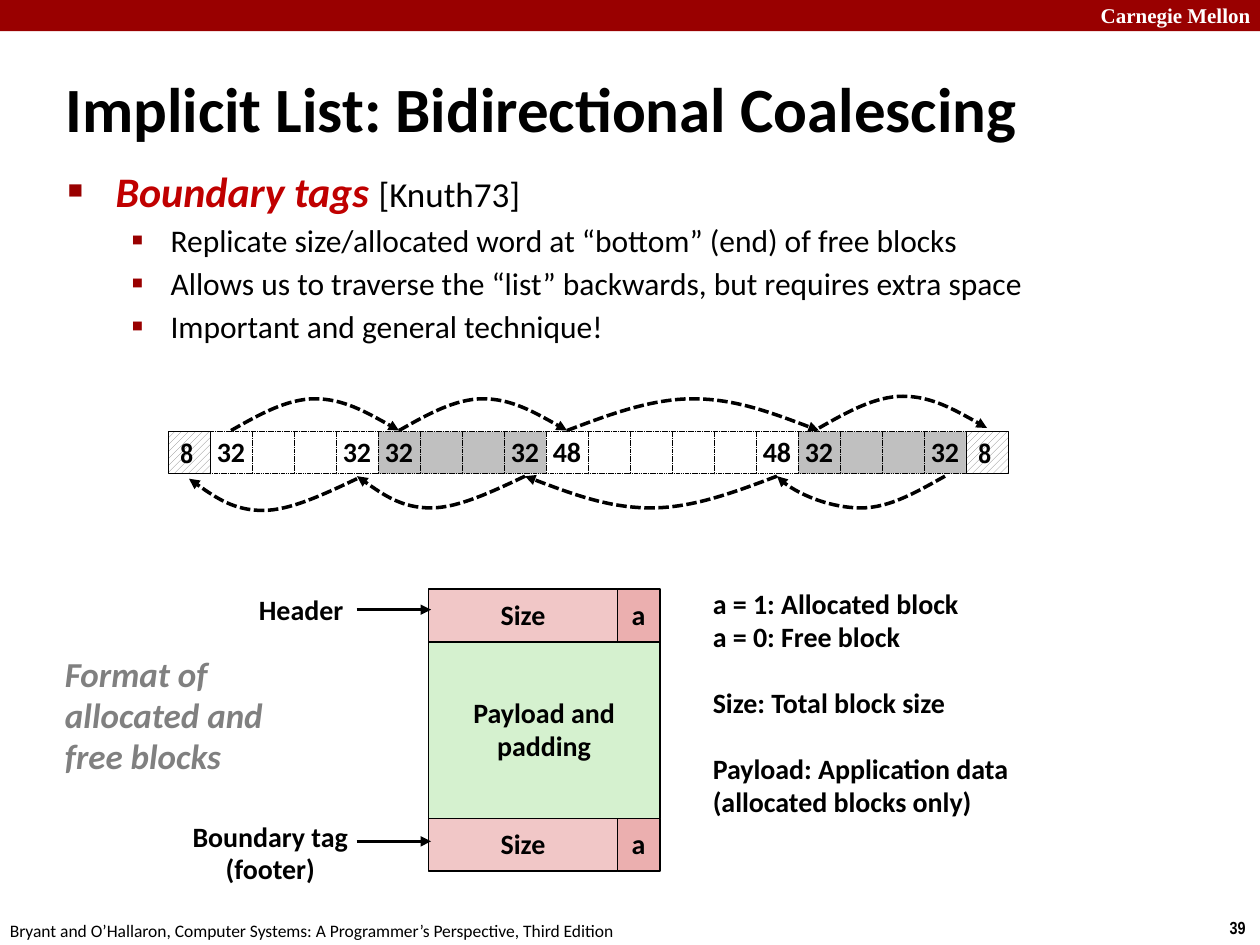
import pptx
import pptx.dml.color
import pptx.enum.dml
import pptx.enum.shapes
import pptx.enum.text
import pptx.oxml
import pptx.oxml.ns
import pptx.util

Cm, Pt = pptx.util.Cm, pptx.util.Pt
RECT = pptx.enum.shapes.MSO_SHAPE.RECTANGLE
ALIGN = pptx.enum.text.PP_ALIGN
ANCHOR = pptx.enum.text.MSO_ANCHOR
DASH = pptx.enum.dml.MSO_LINE.SQUARE_DOT
BLACK, WHITE, RED, GREY = "000000", "FFFFFF", "990000", "C0C0C0"
PINK, ROSE, GREEN = "F1C7C7", "EBAFAF", "D5F1CF"

# Content
title = "Implicit List: Bidirectional Coalescing"
topic, citation = "Boundary tags ", "[Knuth73]"
points = [
    "Replicate size/allocated word at “bottom” (end) of free blocks",
    "Allows us to traverse the “list” backwards, but requires extra space",
    "Important and general technique!",
]
blocks = [("32", 4, WHITE), ("32", 4, GREY), ("48", 6, WHITE), ("32", 4, GREY)]
sentinel = "8"
format_caption = ["Format of", "allocated and", "free blocks"]
legend = ["a = 1: Allocated block", "a = 0: Free block", "Size: Total block size",
          "Payload: Application data", "(allocated blocks only)"]
legend_gaps = {2: 19, 3: 19}
footer = "Bryant and O’Hallaron, Computer Systems: A Programmer’s Perspective, Third Edition"

deck = pptx.Presentation()
deck.slide_width, deck.slide_height = Cm(25.4), Cm(19.05)
slide = deck.slides.add_slide(deck.slide_layouts[6])
shapes = slide.shapes


def rgb(value):
    return pptx.dml.color.RGBColor.from_string(value)


def element(tag, **attributes):
    node = pptx.oxml.parse_xml(f"<a:{tag} {pptx.oxml.ns.nsdecls('a')}/>")
    for key, value in attributes.items():
        node.set(key, str(value))
    return node


def add_run(paragraph, text, size=16, font="Calibri", color=BLACK, bold=True, italic=False):
    run = paragraph.add_run()
    run.text = text
    run.font.size, run.font.name = Pt(size), font
    run.font.bold, run.font.italic = bold, italic
    run.font.color.rgb = rgb(color)


def write(shape, lines, align=ALIGN.LEFT, anchor=ANCHOR.TOP, wrap=False, spacing=1.0,
          gaps=None, **run_format):
    frame = shape.text_frame
    frame.word_wrap, frame.vertical_anchor = wrap, anchor
    for index, line in enumerate(lines):
        paragraph = frame.add_paragraph() if index else frame.paragraphs[0]
        paragraph.alignment, paragraph.line_spacing = align, spacing
        if gaps and index in gaps:
            paragraph.space_before = Pt(gaps[index])
        add_run(paragraph, line, **run_format)
    return frame


def label(left, top, width, height, lines, **text_format):
    box = shapes.add_textbox(Cm(left), Cm(top), Cm(width), Cm(height))
    return write(box, lines, **text_format)


def rectangle(left, top, width, height, fill=None, line_width=1.0, dash=None):
    shape = shapes.add_shape(RECT, Cm(left), Cm(top), Cm(width), Cm(height))
    shape.shadow.inherit = False
    if fill:
        shape.fill.solid()
        shape.fill.fore_color.rgb = rgb(fill)
    else:
        shape.fill.patterned()
        shape.fill.pattern = pptx.enum.dml.MSO_PATTERN.WIDE_UPWARD_DIAGONAL
        shape.fill.fore_color.rgb, shape.fill.back_color.rgb = rgb("808080"), rgb(WHITE)
    if line_width:
        shape.line.color.rgb, shape.line.width = rgb(BLACK), Pt(line_width)
        shape.line.dash_style = dash
    else:
        shape.line.fill.background()
    return shape


def add_arrowhead(line):
    line.color.rgb, line.width = rgb(BLACK), Pt(2)
    line._get_or_add_ln().append(element("tailEnd", type="triangle"))


def arc(start, end, base, rise, fractions):
    """Dashed arrow along two joined Bezier curves, rising by a signed height."""
    heights = [0, 0.5, 1, 1, 1, 0.5, 0]
    controls = [(Cm(start + (end - start) * f), Cm(base + rise * h))
                for f, h in zip(fractions, heights)]
    builder = shapes.build_freeform(*controls[0])
    builder.add_line_segments(controls[1:], close=False)
    shape = builder.convert_to_shape()
    # Turn each three straight segments into one cubic curve
    outline = shape._element.find(".//" + pptx.oxml.ns.qn("a:path"))
    segments = outline.findall(pptx.oxml.ns.qn("a:lnTo"))
    for first in (0, 3):
        curve = element("cubicBezTo")
        for segment in segments[first:first + 3]:
            curve.append(segment[0])
            outline.remove(segment)
        outline.append(curve)
    shape.shadow.inherit = False
    shape.fill.background()
    shape.line.dash_style = DASH
    add_arrowhead(shape.line)


def set_bullet(paragraph, char, font, percent, margin, hang):
    properties = paragraph._p.get_or_add_pPr()
    properties.set("marL", str(Cm(margin)))
    properties.set("indent", str(-Cm(hang)))
    color = element("buClr")
    color.append(element("srgbClr", val=RED))
    properties.extend([color, element("buSzPct", val=percent * 1000),
                       element("buFont", typeface=font), element("buChar", char=char)])


# Banner and footer
rectangle(0, 0, 25.4, 0.63, RED, line_width=0)
label(21.94, -0.08, 3.63, 0.76, ["Carnegie Mellon"], wrap=True, size=12,
      font="Times New Roman", color=WHITE)
label(24.54, 18.36, 0.86, 0.69, ["39"], size=10, font="Arial Narrow")
label(-0.05, 18.42, 12.9, 0.63, [footer], size=10, bold=False)

# Title and points
label(1.07, 1.37, 24.33, 1.6, [title], anchor=ANCHOR.MIDDLE, wrap=True, size=36)
body = label(1.12, 3.38, 23.09, 3.68, [topic], wrap=True, spacing=0.83,
             size=24, color="C00000", italic=True)
add_run(body.paragraphs[0], citation, size=20, bold=False)
set_bullet(body.paragraphs[0], "■", "Times New Roman", 60, 0.96, 0.96)
for point in points:
    paragraph = body.add_paragraph()
    paragraph.line_spacing, paragraph.space_before = 0.88, Pt(5.6)
    set_bullet(paragraph, "▪", "Calibri", 110, 2.07, 0.79)
    add_run(paragraph, point, size=18, bold=False)

# Heap row: one sentinel word at each end, blocks tagged at first and last word
word = 25.4 / 30
heap_left, heap_top = 4 * word, 8.7
word_total = sum(count for _, count, _ in blocks) + 2
starts, position = [], 1
for size, count, fill in blocks:
    starts.append(position)
    for offset in range(count):
        cell = rectangle(heap_left + (position + offset) * word, heap_top, word, word,
                         fill, 0.25, DASH)
        if offset in (0, count - 1):
            write(cell, [size], align=ALIGN.CENTER, anchor=ANCHOR.MIDDLE, spacing=0.98)
    position += count
for index in (0, word_total - 1):
    cell = rectangle(heap_left + index * word, heap_top, word, word, line_width=0.25)
    write(cell, [sentinel], anchor=ANCHOR.MIDDLE, font="Arial Narrow")

# Forward arcs join block starts, backward arcs join block ends
starts.append(word_total - 1)
ends = [start - 1 for start in reversed(starts)]
even = [i / 6 for i in range(7)]
steep = [0, 0.17, 0.33, 0.5, 0.67, 0.92, 1]
late = [0, 0.2, 0.4, 0.56, 0.73, 0.87, 1]
for stops, base, rise, shapings in ((starts, 8.68, -0.64, [even] * 4),
                                    (ends, 9.6, 0.64, [steep, even, late, late])):
    for here, there, fractions in zip(stops, stops[1:], shapings):
        shift = 0.08 * rise if there == stops[-1] else 0
        arc(heap_left + (here + 0.5) * word, heap_left + (there + 0.5) * word,
            base + shift, rise, fractions)

# Block format
block_left, block_top, size_width, flag_width = 8.64, 11.88, 3.81, 0.85
tag_height, payload_height = 1.06, 3.56
payload_top = block_top + tag_height
centered = dict(align=ALIGN.CENTER, anchor=ANCHOR.MIDDLE, spacing=0.98)
payload = rectangle(block_left, payload_top, size_width + flag_width, payload_height, GREEN)
write(payload, ["Payload and", "padding"], **centered)
for top, pointer_y in ((block_top, 12.29), (payload_top + payload_height, 16.96)):
    size_field = rectangle(block_left, top, size_width, tag_height, PINK)
    write(size_field, ["Size"], **centered)
    flag = rectangle(block_left + size_width, top, flag_width, tag_height, ROSE)
    write(flag, ["a"], **centered)
    pointer = shapes.add_connector(pptx.enum.shapes.MSO_CONNECTOR.STRAIGHT,
                                   Cm(7.19), Cm(pointer_y), Cm(8.69), Cm(pointer_y))
    add_arrowhead(pointer.line)
    pointer._element.spPr.append(element("effectLst"))

# Labels beside the block
label(4.97, 11.86, 2.24, 0.94, ["Header"], spacing=0.98)
label(3.61, 16.42, 3.68, 1.6, ["Boundary tag", "(footer)"], align=ALIGN.CENTER, spacing=0.98)
label(1.06, 13.07, 4.52, 2.77, format_caption, spacing=0.98, size=20, color="808080", italic=True)
label(14.12, 11.73, 6.53, 5.64, legend, spacing=0.98, gaps=legend_gaps)

deck.save("out.pptx")
